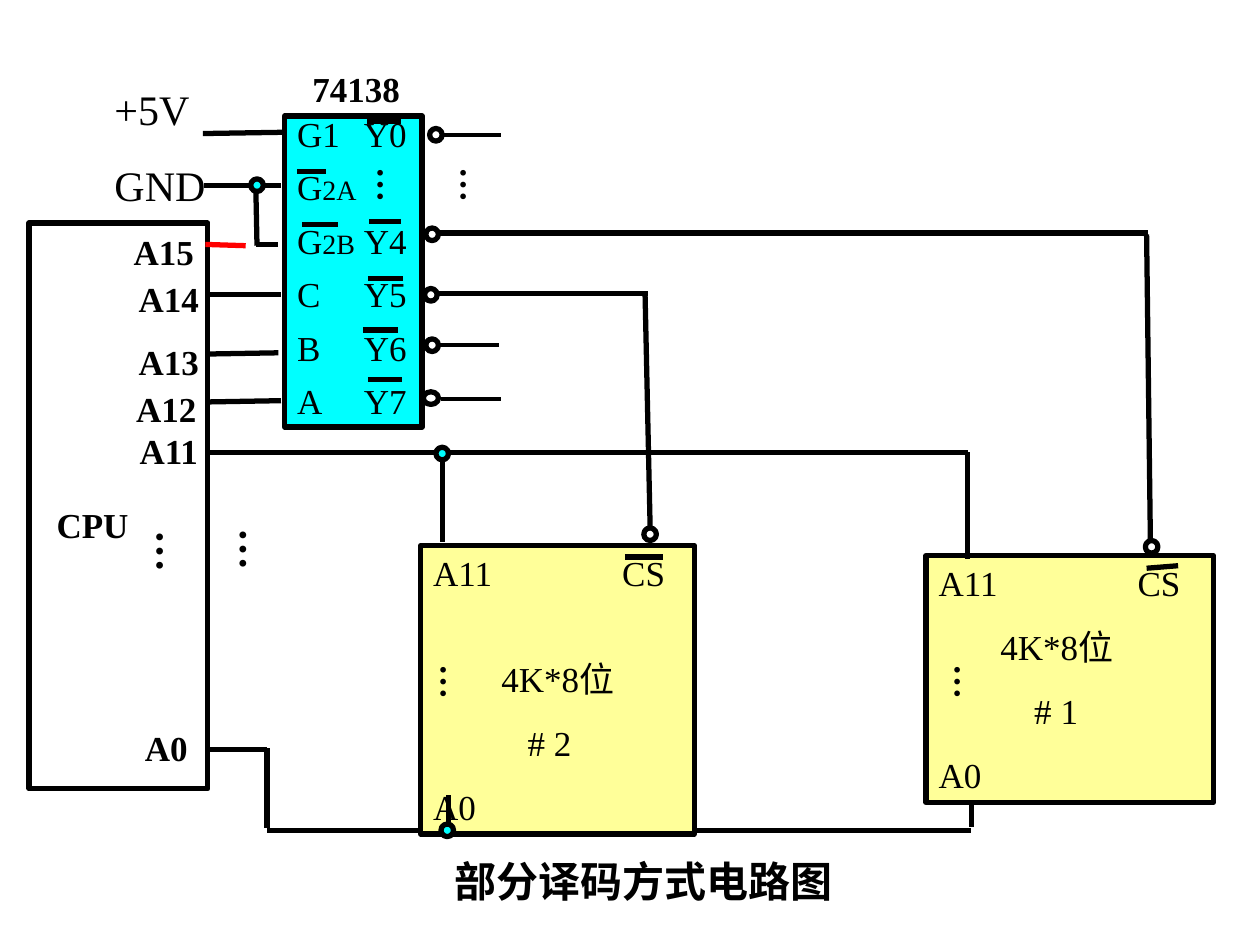
import pptx
import pptx.dml.color
import pptx.enum.shapes
import pptx.enum.text
import pptx.oxml
import pptx.oxml.ns
import pptx.util
from lxml import etree

COLUMNS, ROWS = 100, 75
UNIT = pptx.util.Inches(0.1)
FONT = "Times New Roman"
BLACK, RED, CYAN, YELLOW = "000000", "FF0000", "00FFFF", "FFFF99"
LEFT = pptx.enum.text.PP_ALIGN.LEFT
CENTER = pptx.enum.text.PP_ALIGN.CENTER
TOP = pptx.enum.text.MSO_ANCHOR.TOP
MIDDLE = pptx.enum.text.MSO_ANCHOR.MIDDLE
RECTANGLE = pptx.enum.shapes.MSO_SHAPE.RECTANGLE
OVAL = pptx.enum.shapes.MSO_SHAPE.OVAL

CHIP_ROWS = ["G1\tY0", [("G", 20), ("2A", 16)], [("G", 20), ("2B", 16), ("\tY4", 20)],
             "C\tY5", "B\tY6", "A\tY7"]
OUTPUT_CIRCLES = [(34.1, 10.2, 1), (33.8, 18.1, 1), (33.7, 22.9, 1), (33.8, 26.9, 1), (33.6, 31.1, 1.2)]
SELECT_CIRCLES = [(90.9, 42.9), (51.1, 41.9)]
JUNCTIONS = [(34.6, 35.5), (35, 65.4), (19.9, 14.2)]
WIRES = [
    (22.4, 10.5, 16.1, 10.6), (16.2, 14.7, 22.3, 14.7),
    (20.3, 14.7, 20.4, 19.5), (20.3, 19.4, 22.1, 19.4),
    (16.3, 23.4, 22.3, 23.4), (16.4, 28.1, 22.1, 28), (16.6, 31.9, 22.3, 31.8),
    (16.3, 35.9, 76.8, 35.9), (35.1, 36.3, 35.1, 43), (76.8, 35.9, 76.8, 44.4),
    (16.5, 59.5, 21.2, 59.5), (21.2, 59.4, 21.2, 65.7),
    (35.6, 65.6, 35.6, 63.1), (77.1, 65.6, 77.1, 63.9),
    (34.7, 18.5, 91.1, 18.5), (91, 18.6, 91.3, 42.8),
    (34.7, 23.3, 51.4, 23.3), (51.2, 23.4, 51.6, 41.9),
]
OVERBARS = [
    (29.1, 9.6, 31.8, 9.6), (23.6, 13.6, 25.9, 13.6), (29.3, 17.6, 31.8, 17.6),
    (24, 17.8, 26.8, 17.8), (29.2, 22.1, 32, 22.1), (28.8, 26.2, 31.6, 26.2),
    (29.2, 30.1, 31.9, 30.1), (49.6, 44.2, 52.6, 44.2), (91, 45.1, 93.5, 44.9),
]
OUTPUT_STUBS = [(35, 10.7, 39.8, 10.7), (34.9, 27.4, 39.6, 27.4), (35, 31.7, 39.8, 31.7)]
CPU_PINS = [("A15", 13, 20), ("A14", 13.4, 23.7), ("A13", 13.4, 28.7), ("A12", 13.2, 32.5),
            ("A11", 13.4, 35.8), ("A0", 13.2, 59.4)]
SMALL_DOTS = [(37.7, 14.7), (31.1, 14.7), (36.1, 54.1), (76.9, 54.1)]
LARGE_DOTS = [(13.75, 43.8), (20.35, 43.6)]


def grid(count):
    """Turn a number of grid columns or rows into a length."""
    return int(count * UNIT)


def color(value):
    """Turn a hex string into a colour."""
    return pptx.dml.color.RGBColor.from_string(value)


def write_text(shape, paragraphs, size=20, bold=False, align=LEFT, anchor=TOP, before=0,
               spacing=None, wrap=False, tab=None, indents=None):
    """Fill a shape with formatted paragraphs of plain or mixed-size text."""
    frame = shape.text_frame
    frame.word_wrap = wrap
    frame.vertical_anchor = anchor
    frame.auto_size = pptx.enum.text.MSO_AUTO_SIZE.NONE
    for index, content in enumerate(paragraphs):
        paragraph = frame.paragraphs[0] if index == 0 else frame.add_paragraph()
        paragraph.alignment = align
        paragraph.space_before = pptx.util.Pt(before)
        if spacing:
            paragraph.line_spacing = spacing
        properties = paragraph._p.get_or_add_pPr()
        if indents and indents[index]:
            properties.set("marL", str(grid(indents[index])))
            properties.set("indent", "0")
        if tab:
            tabs = etree.SubElement(properties, pptx.oxml.ns.qn("a:tabLst"))
            etree.SubElement(tabs, pptx.oxml.ns.qn("a:tab"), pos=str(grid(tab)), algn="l")
        for text, run_size in ([(content, size)] if isinstance(content, str) else content):
            run = paragraph.add_run()
            run.text = text
            run.font.name = FONT
            run.font.size = pptx.util.Pt(run_size)
            run.font.bold = bold
            run.font.color.rgb = color(BLACK)


def add_outline(slide, kind, left, top, width, height, fill=None):
    """Add a black-outlined preset shape, hollow unless a fill is given."""
    shape = slide.shapes.add_shape(kind, *map(grid, (left, top, width, height)))
    shape.shadow.inherit = False
    shape.line.color.rgb = color(BLACK)
    shape.line.width = pptx.util.Pt(3)
    if fill:
        shape.fill.solid()
        shape.fill.fore_color.rgb = color(fill)
    else:
        shape.fill.background()
    return shape


def add_wire(slide, ends, stroke=BLACK, weight=3):
    """Add a straight wire between two grid points."""
    wire = slide.shapes.add_connector(pptx.enum.shapes.MSO_CONNECTOR.STRAIGHT, *map(grid, ends))
    wire.line.color.rgb = color(stroke)
    wire.line.width = pptx.util.Pt(weight)
    etree.SubElement(wire._element.spPr, pptx.oxml.ns.qn("a:effectLst"))


def add_label(slide, paragraphs, left, top, width, height, **text_format):
    """Add a text box holding formatted paragraphs."""
    label = slide.shapes.add_textbox(*map(grid, (left, top, width, height)))
    write_text(label, paragraphs, **text_format)
    return label


def add_dots(slide, center_column, center_row, size):
    """Add a vertical ellipsis centred on a grid point."""
    width, height = size * 0.23, 0.5 + size * 0.19
    dots = add_label(slide, ["…"], center_column - width / 2, center_row - height / 2,
                     width, height, size=size, bold=True, align=CENTER)
    dots.rotation = 90


def add_memory(slide, number, box, select_tab, indents, name_gap=12.5):
    """Add a memory block with its address pins and chip select."""
    memory = add_outline(slide, RECTANGLE, *box, fill=YELLOW)
    write_text(memory, ["A11\tCS", "4K*8位", f"# {number}", "A0"], before=12.5, wrap=True,
               tab=select_tab, indents=indents)
    memory.text_frame.paragraphs[1].space_before = pptx.util.Pt(name_gap)


def add_caption(slide, text):
    """Place the slide title as the caption under the circuit."""
    title = slide.shapes.title
    title.left, title.top, title.width, title.height = map(grid, (31.1, 67.4, 40, 5))
    write_text(title, [text], size=24, bold=True, align=CENTER, before=6, wrap=True)


def add_blocks(slide):
    """Add the decoder, the memories and the processor outline."""
    for left, top, width in OUTPUT_CIRCLES:
        add_outline(slide, OVAL, left, top, width, 1)
    decoder = add_outline(slide, RECTANGLE, 22.6, 9.2, 10.9, 24.7, fill=CYAN)
    write_text(decoder, CHIP_ROWS, anchor=MIDDLE, before=12.5, spacing=0.75, wrap=True, tab=5.3)
    add_memory(slide, 2, (33.4, 43.3, 21.7, 22.9), 15, (0, 5.4, 7.5, 0), name_gap=36.5)
    add_memory(slide, 1, (73.5, 44.1, 22.8, 19.6), 15.8, (0, 4.9, 7.6, 0))
    add_outline(slide, RECTANGLE, 2.3, 17.7, 14.2, 44.9)


def add_wiring(slide):
    """Add wires, overbars, junctions and chip-select circles."""
    for ends in WIRES + OVERBARS:
        add_wire(slide, ends)
    for ends in OUTPUT_STUBS:
        add_wire(slide, ends, weight=2.25)
    add_wire(slide, (16.3, 19.4, 19.5, 19.5), stroke=RED)
    for left, top in JUNCTIONS:
        add_outline(slide, OVAL, left, top, 1, 1, fill=CYAN)
    for left, top in SELECT_CIRCLES:
        add_outline(slide, OVAL, left, top, 1, 1)


def add_labels(slide):
    """Add the supply, chip, processor and pin labels."""
    add_label(slide, ["+5V", "GND"], 8.1, 6.1, 9.8, 11.1, size=24, before=15, wrap=True)
    add_label(slide, ["74138"], 23.8, 4.9, 8.9, 4.4, bold=True, before=5)
    add_label(slide, ["CPU"], 3.5, 39.5, 7.7, 4.4, bold=True, align=CENTER)
    for name, center, top in CPU_PINS:
        add_label(slide, [name], center - 3.4, top - 2.2, 6.8, 4.4, bold=True, align=CENTER)
    for center in SMALL_DOTS:
        add_dots(slide, *center, 20)
    for center in LARGE_DOTS:
        add_dots(slide, *center, 24)


def main():
    """Build the partial-decoding circuit slide."""
    presentation = pptx.Presentation()
    presentation.slide_width, presentation.slide_height = grid(COLUMNS), grid(ROWS)
    slide = presentation.slides.add_slide(presentation.slide_layouts[5])
    add_caption(slide, "部分译码方式电路图")
    add_wire(slide, (21.2, 65.9, 77.1, 65.9))
    add_blocks(slide)
    add_wiring(slide)
    add_labels(slide)
    presentation.save("out.pptx")


if __name__ == "__main__":
    main()
